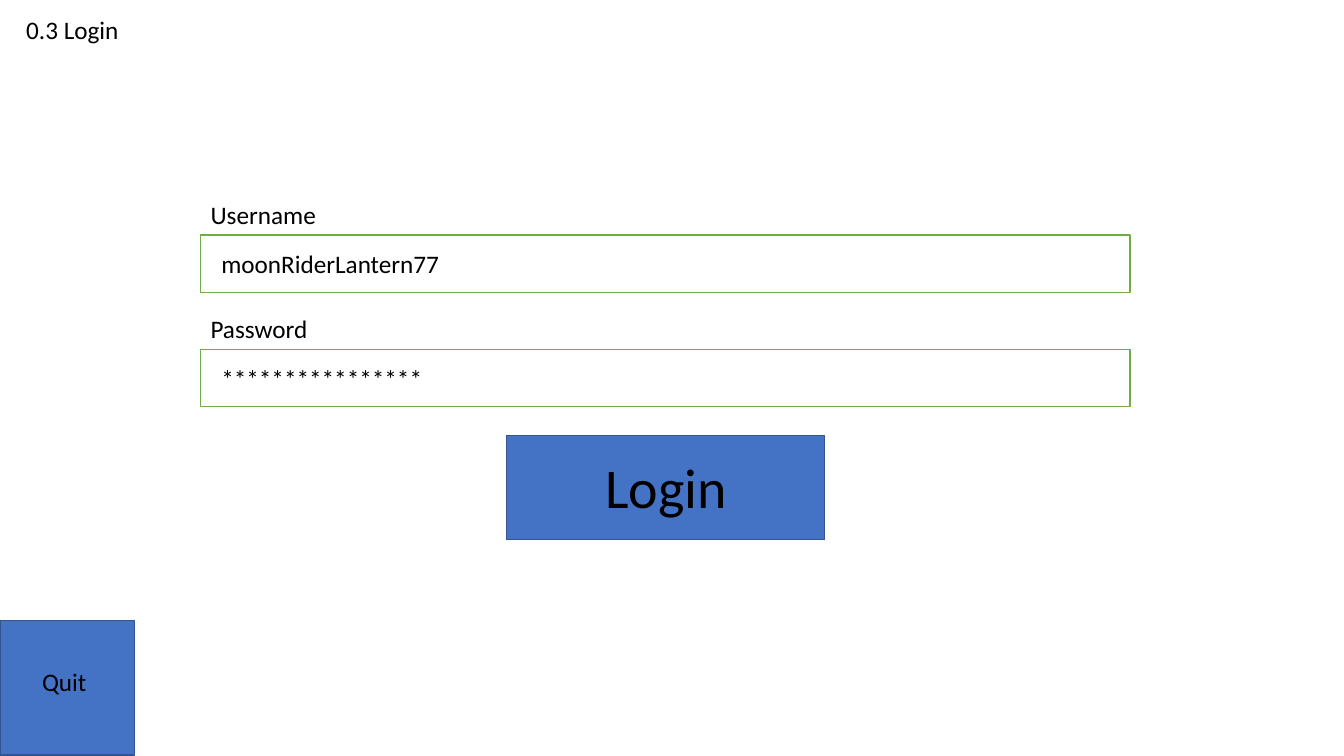
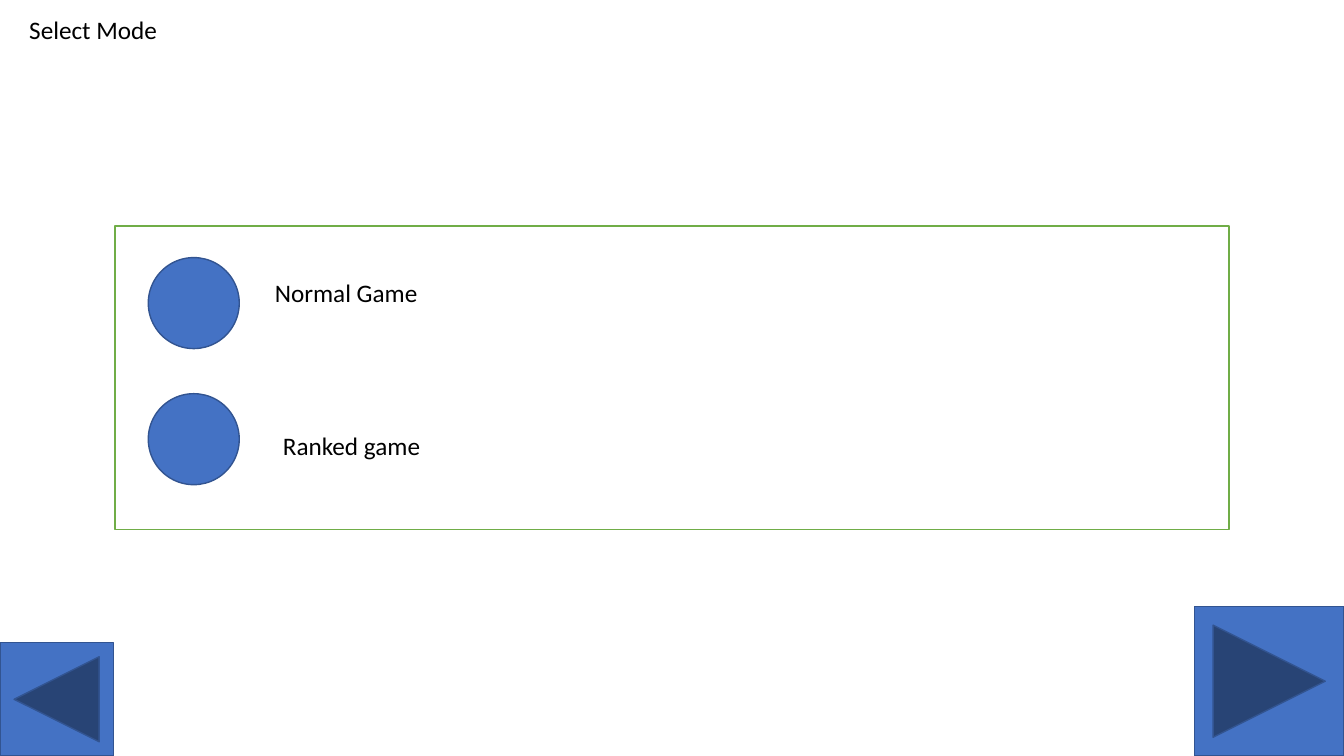
"""Build the login and mode selection screens of a game."""
import pptx
import pptx.dml.color
import pptx.enum.shapes
import pptx.enum.text
import pptx.util

Pt = pptx.util.Pt
SHAPES = pptx.enum.shapes.MSO_SHAPE
ALIGN = pptx.enum.text.PP_ALIGN
COLORS = {
    "text": "000000",
    "panel": "FFFFFF",
    "panel_line": "70AD47",
    "button": "4472C4",
    "button_line": "325491",
}
FONT_FORMAT = {"name": "Calibri", "bold": False, "italic": False}
FRAME_FORMAT = {
    "word_wrap": True,
    "auto_size": pptx.enum.text.MSO_AUTO_SIZE.NONE,
    "vertical_anchor": pptx.enum.text.MSO_ANCHOR.TOP,
    "margin_left": Pt(7.2),
    "margin_right": Pt(7.2),
    "margin_top": Pt(3.6),
    "margin_bottom": Pt(3.6),
}
LINE_HEIGHT = 28.8


def write_text(shape, text, size=18, alignment=ALIGN.LEFT):
    frame = shape.text_frame
    frame.text = text
    for name, value in FRAME_FORMAT.items():
        setattr(frame, name, value)
    paragraph = frame.paragraphs[0]
    paragraph.alignment = alignment
    font = paragraph.runs[0].font
    for name, value in {**FONT_FORMAT, "size": Pt(size)}.items():
        setattr(font, name, value)
    font.color.rgb = pptx.dml.color.RGBColor.from_string(COLORS["text"])


def add_box(slide, kind, role, left, top, width, height):
    shape = slide.shapes.add_shape(kind, Pt(left), Pt(top), Pt(width), Pt(height))
    shape.shadow.inherit = False
    shape.fill.solid()
    shape.fill.fore_color.rgb = pptx.dml.color.RGBColor.from_string(COLORS[role])
    shape.line.color.rgb = pptx.dml.color.RGBColor.from_string(COLORS[role + "_line"])
    shape.line.width = Pt(1)


presentation = pptx.Presentation()
presentation.slide_width = Pt(960)
presentation.slide_height = Pt(540)
title_only = presentation.slide_layouts[5]

slides = []
for title, left, width in [("0.3 Login", 11.5, 371.5), ("Select Mode", 13.7, 466)]:
    slide = presentation.slides.add_slide(title_only)
    shape = slide.shapes.title
    placement = {"left": left, "top": 6.5, "width": width, "height": LINE_HEIGHT}
    for name, value in placement.items():
        setattr(shape, name, Pt(value))
    write_text(shape, title)
    slides.append(slide)
login_slide, mode_slide = slides

labels = []
for index, (label, entry) in enumerate([("Username", "moonRiderLantern77"), ("Password", "*" * 16)]):
    top = 168 + 81.6 * index
    add_box(login_slide, SHAPES.RECTANGLE, "panel", 143.3, top, 664, 41)
    labels.append((login_slide, label, 143.3, top - 29, 214.6, LINE_HEIGHT, 18, ALIGN.LEFT))
    labels.append((login_slide, entry, 151, top + 6.2, 651, LINE_HEIGHT, 18, ALIGN.LEFT))
add_box(login_slide, SHAPES.RECTANGLE, "button", 361.8, 311, 227, 74.2)
labels.append((login_slide, "Login", 374.6, 319.7, 202.3, 55.4, 40, ALIGN.CENTER))
add_box(login_slide, SHAPES.ACTION_BUTTON_CUSTOM, "button", 0, 443.4, 96, 96)
labels.append((login_slide, "Quit", 23, 472.5, 52.6, LINE_HEIGHT, 18, ALIGN.LEFT))

add_box(mode_slide, SHAPES.RECTANGLE, "panel", 82.1, 161.5, 795.8, 216.6)
for index, (mode, left, top) in enumerate([("Normal Game", 189.2, 194.8), ("Ranked game", 195, 304)]):
    add_box(mode_slide, SHAPES.OVAL, "button", 105.9, 184, 65, 65) if index == 0 else add_box(
        mode_slide, SHAPES.OVAL, "button", 105.9, 281.2, 65, 65
    )
    labels.append((mode_slide, mode, left, top, 557.3, LINE_HEIGHT, 18, ALIGN.LEFT))
for kind, left, size in [
    (SHAPES.ACTION_BUTTON_FORWARD_OR_NEXT, 853.2, 106.8),
    (SHAPES.ACTION_BUTTON_BACK_OR_PREVIOUS, 0, 81),
]:
    add_box(mode_slide, kind, "button", left, 540 - size, size, size)

for slide, text, left, top, width, height, size, alignment in labels:
    box = slide.shapes.add_textbox(Pt(left), Pt(top), Pt(width), Pt(height))
    write_text(box, text, size, alignment)

presentation.save("out.pptx")
